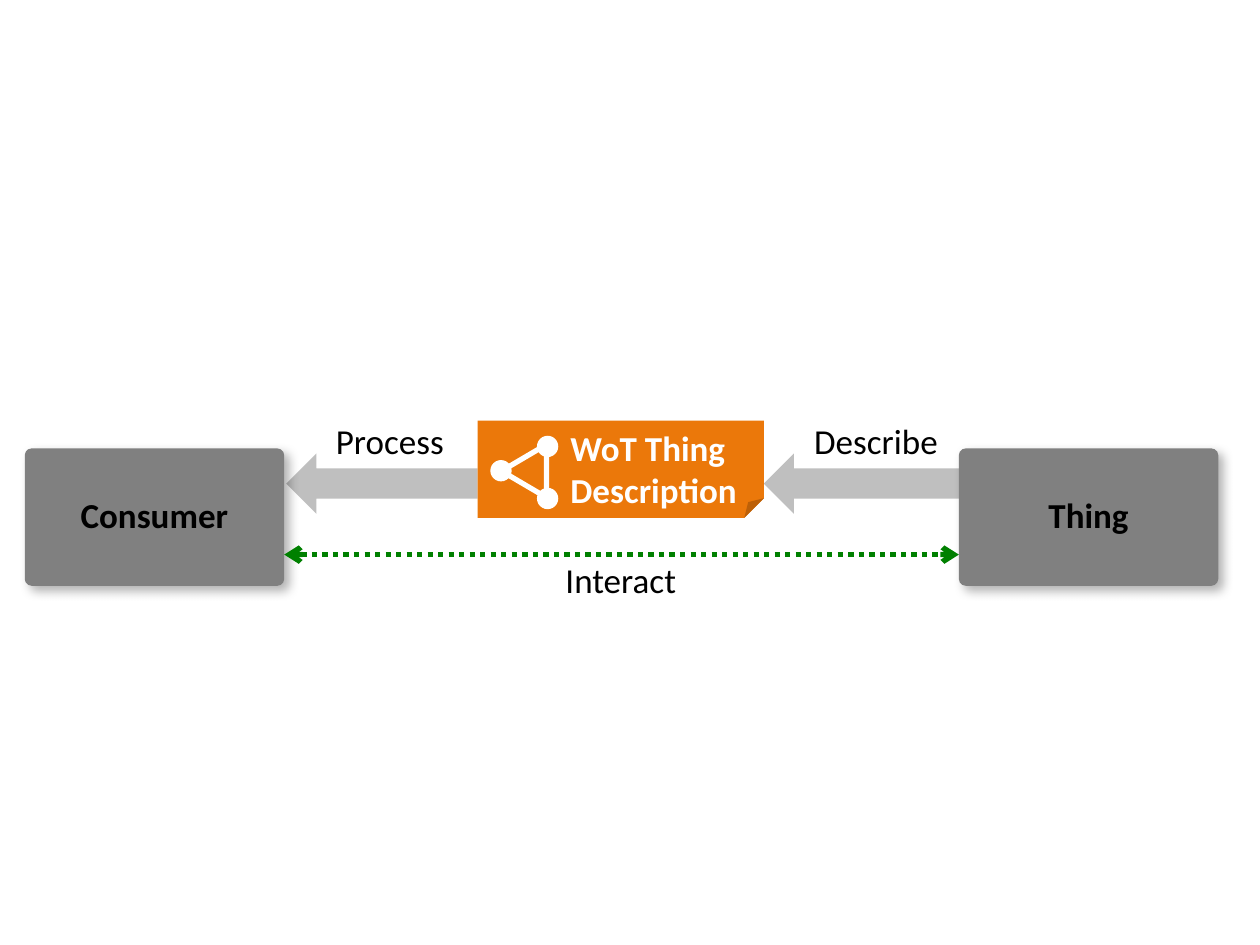
from dataclasses import dataclass

from lxml import etree
from pptx import Presentation
from pptx import util as u
from pptx.dml.color import RGBColor
from pptx.enum import dml, shapes, text
from pptx.oxml import ns

Cm, Pt = u.Cm, u.Pt
Kind = shapes.MSO_SHAPE


@dataclass(frozen=True)
class Theme:
    font: str = "Calibri"
    size: int = 20
    stroke: int = 3
    ink: str = "000000"
    paper: str = "FFFFFF"
    node: str = "808080"
    flow: str = "BFBFBF"
    note: str = "EB780A"
    link: str = "008000"


@dataclass(frozen=True)
class Frame:
    """Position and size in centimetres."""
    left: float
    top: float
    width: float
    height: float

    def lengths(self) -> tuple:
        return Cm(self.left), Cm(self.top), Cm(self.width), Cm(self.height)


@dataclass(frozen=True)
class Node:
    name: str
    left: float


@dataclass(frozen=True)
class Flow:
    center: float
    length: float


@dataclass(frozen=True)
class Label:
    words: str
    frame: Frame


THEME = Theme()
NODE_TOP, NODE_WIDTH, NODE_HEIGHT = 9.04, 5.23, 2.77
FLOW_MIDDLE, FLOW_WIDTH = 9.75, 1.22
LINK_MIDDLE = 11.18
DOT = 0.43

NODES = [Node("Thing", 19.33), Node("Consumer", 0.5)]
FLOWS = [Flow(17.4, 4.01), Flow(7.7, 3.86)]
LABELS = [
    Label("Describe", Frame(16.15, 8.33, 3.02, 1.12)),
    Label("Process", Frame(6.5, 8.33, 2.72, 1.12)),
    Label("Interact", Frame(11.13, 11.13, 2.77, 1.12)),
]
NOTE = Frame(9.63, 8.48, 5.77, 1.96)
NOTE_TEXT = Frame(11.25, 8.48, 4.14, 1.96)
TRIANGLE = Frame(10.03, 9.04, 1.07, 0.91)
DOT_CENTERS = [(11.04, 9.0), (10.1, 9.49), (11.04, 10.05)]


def add_element(parent, tag: str, **attributes: str):
    return etree.SubElement(parent, ns.qn(tag), attributes)


def add_block(owner, kind, frame: Frame, color: str | None):
    """Draw a flat preset shape without an outline."""
    block = owner.shapes.add_shape(kind, *frame.lengths())
    block.shadow.inherit = False
    block.line.fill.background()
    if color:
        block.fill.solid()
        block.fill.fore_color.rgb = RGBColor.from_string(color)
    else:
        block.fill.background()
    return block


def write(box, words: str, color: str, bold: bool = False, align=text.PP_ALIGN.CENTER) -> None:
    box.text_frame.text = words
    for para in box.text_frame.paragraphs:
        para.alignment = align
        for span in para.runs:
            span.font.name = THEME.font
            span.font.size = Pt(THEME.size)
            span.font.bold = bold
            span.font.color.rgb = RGBColor.from_string(color)


def add_node(page, node: Node) -> None:
    frame = Frame(node.left, NODE_TOP, NODE_WIDTH, NODE_HEIGHT)
    box = add_block(page, Kind.ROUNDED_RECTANGLE, frame, THEME.node)
    box.adjustments[0] = 0.05
    effects = box._element.spPr.find(ns.qn("a:effectLst"))
    shadow = add_element(effects, "a:outerShdw", blurRad=str(Pt(6)), dist=str(Pt(4)),
                         dir="2700000", algn="tl", rotWithShape="0")
    tint = add_element(shadow, "a:srgbClr", val=THEME.ink)
    add_element(tint, "a:alpha", val="30000")
    body = box.text_frame
    body.word_wrap = False
    body.vertical_anchor = text.MSO_ANCHOR.MIDDLE
    body.margin_top, body.margin_bottom = Cm(0.1), Cm(0.2)
    write(box, node.name, THEME.ink, bold=True)


def add_flow(page, flow: Flow) -> None:
    frame = Frame(flow.center - FLOW_WIDTH / 2, FLOW_MIDDLE - flow.length / 2,
                  FLOW_WIDTH, flow.length)
    add_block(page, Kind.DOWN_ARROW, frame, THEME.flow).rotation = 90


def add_label(page, label: Label) -> None:
    box = page.shapes.add_textbox(*label.frame.lengths())
    box.text_frame.word_wrap = False
    box.text_frame.auto_size = text.MSO_AUTO_SIZE.SHAPE_TO_FIT_TEXT
    write(box, label.words, THEME.ink)


def add_link(page, start: float, end: float) -> None:
    link = page.shapes.add_connector(shapes.MSO_CONNECTOR.STRAIGHT, Cm(start), Cm(LINK_MIDDLE),
                                     Cm(end), Cm(LINK_MIDDLE))
    link.line.color.rgb = RGBColor.from_string(THEME.link)
    link.line.width = Pt(THEME.stroke)
    link.line.dash_style = dml.MSO_LINE.ROUND_DOT
    outline = link._element.spPr.find(ns.qn("a:ln"))
    outline.find(ns.qn("a:prstDash")).set("val", "sysDot")
    for tag in ("a:headEnd", "a:tailEnd"):
        add_element(outline, tag, type="arrow")
    add_element(link._element.spPr, "a:effectLst")


def add_graph_icon(page) -> None:
    icon = page.shapes.add_group_shape()
    triangle = add_block(icon, Kind.ISOSCELES_TRIANGLE, TRIANGLE, None)
    triangle.rotation = 270
    triangle.line.color.rgb = RGBColor.from_string(THEME.paper)
    triangle.line.width = Pt(THEME.stroke)
    for x, y in DOT_CENTERS:
        add_block(icon, Kind.OVAL, Frame(x - DOT / 2, y - DOT / 2, DOT, DOT), THEME.paper)


def add_description(page) -> None:
    note = add_block(page, Kind.FOLDED_CORNER, NOTE, THEME.note)
    guides = note._element.spPr.find(ns.qn("a:prstGeom")).find(ns.qn("a:avLst"))
    add_element(guides, "a:gd", name="adj", fmla="val 20200")
    add_graph_icon(page)
    title = page.shapes.add_textbox(*NOTE_TEXT.lengths())
    title.text_frame.word_wrap = True
    title.text_frame.auto_size = text.MSO_AUTO_SIZE.SHAPE_TO_FIT_TEXT
    write(title, "WoT Thing\nDescription", THEME.paper, bold=True, align=text.PP_ALIGN.LEFT)


def main() -> None:
    deck = Presentation()
    deck.slide_width, deck.slide_height = Cm(25.4), Cm(19.05)
    page = deck.slides.add_slide(deck.slide_layouts[6])

    # Flows run behind the nodes and the description
    for flow in FLOWS:
        add_flow(page, flow)
    for node in NODES:
        add_node(page, node)

    # Interaction link between the facing sides of the nodes
    thing, consumer = NODES
    add_link(page, consumer.left + NODE_WIDTH, thing.left)
    for label in LABELS:
        add_label(page, label)

    # Description note with its graph icon
    add_description(page)
    deck.save("out.pptx")


if __name__ == "__main__":
    main()
